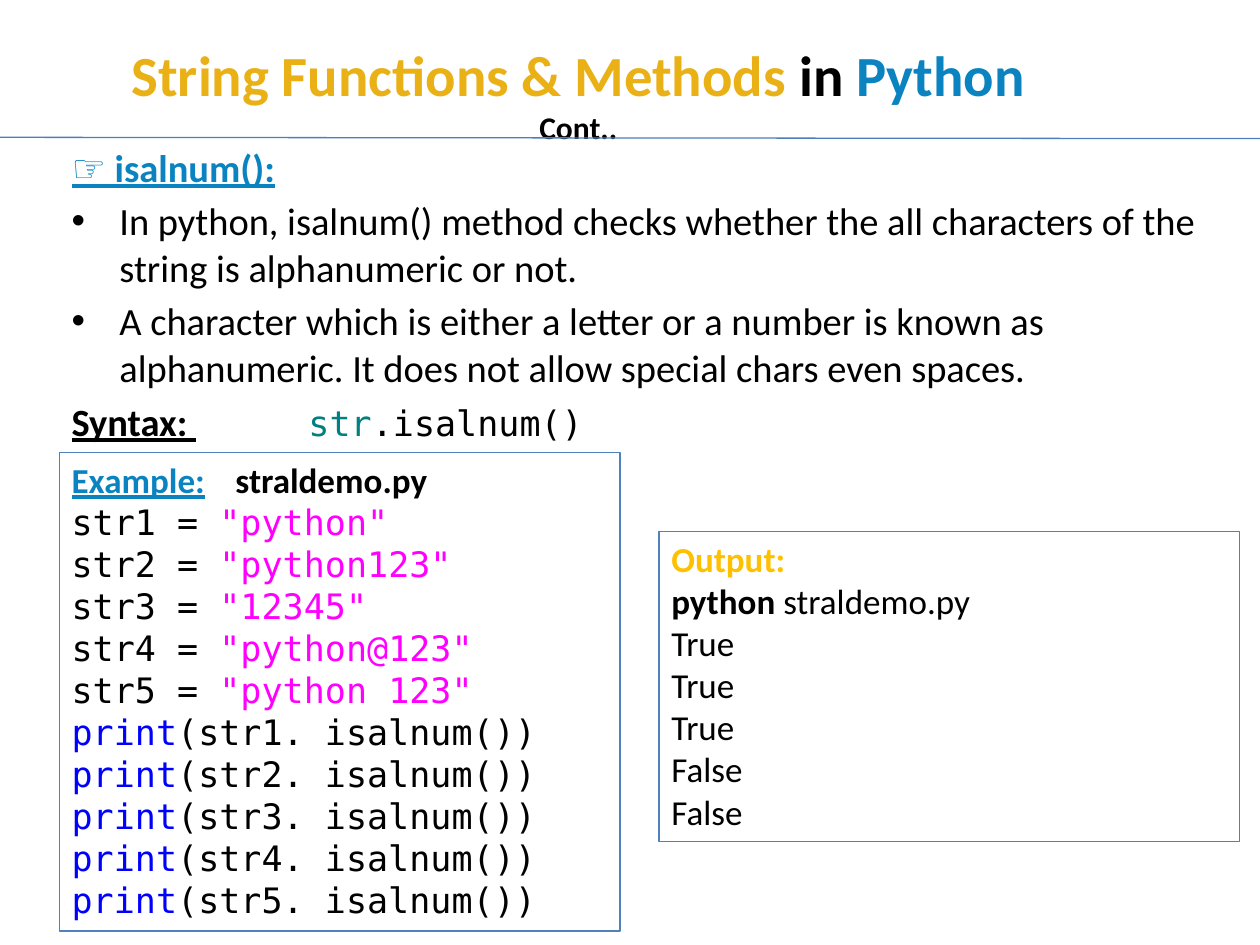
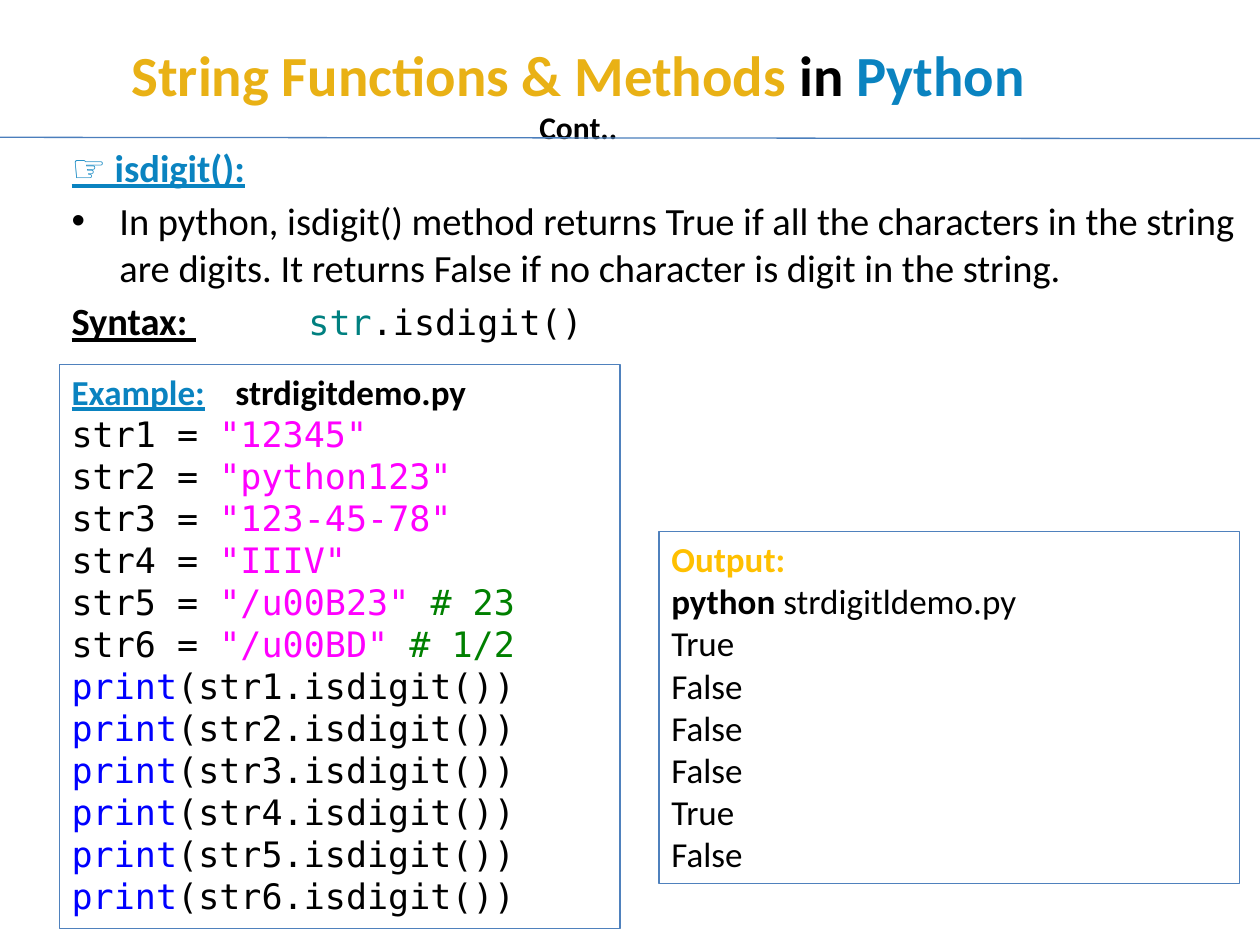
from lxml import etree
from pptx import Presentation
from pptx.dml.color import RGBColor
from pptx.enum.shapes import MSO_CONNECTOR, MSO_SHAPE
from pptx.enum.text import MSO_ANCHOR, PP_ALIGN
from pptx.oxml.ns import qn
from pptx.util import Inches, Pt

RECTANGLE = MSO_SHAPE.RECTANGLE
STRAIGHT = MSO_CONNECTOR.STRAIGHT
TOP, MIDDLE = MSO_ANCHOR.TOP, MSO_ANCHOR.MIDDLE
LEFT, CENTER = PP_ALIGN.LEFT, PP_ALIGN.CENTER

BLACK = RGBColor(0x00, 0x00, 0x00)
GOLD = RGBColor(0xE9, 0xB1, 0x15)
BLUE = RGBColor(0x0A, 0x83, 0xC0)
AMBER = RGBColor(0xFF, 0xC0, 0x00)
TEAL = RGBColor(0x00, 0x80, 0x80)
MAGENTA = RGBColor(0xFF, 0x00, 0xFF)
KEYWORD = RGBColor(0x00, 0x00, 0xFF)
COMMENT = RGBColor(0x00, 0x80, 0x00)
BORDER = RGBColor(0x4F, 0x81, 0xBD)
RULE = RGBColor(0x4B, 0x7E, 0xBC)

SANS, MONO = "Calibri", "DejaVu Sans Mono"
TITLE_SIZE, SUBTITLE_SIZE, BODY_SIZE, CODE_SIZE = 32.4, 18, 22, 20

# Boxes: left, top, width, height in inches
TITLE_BOX = (0.5, 0.3, 9, 0.87)
BODY_BOX = (0.47, 1.09, 9.53, 6.02)


def inches(box):
    return [Inches(length) for length in box]


def add_run(paragraph, text, size, color=BLACK, font=SANS, bold=False, underline=False):
    run = paragraph.add_run()
    run.text = text
    run.font.name = font
    run.font.size = Pt(size)
    run.font.color.rgb = color
    run.font.bold = bold
    run.font.underline = underline


def next_paragraph(frame):
    """Return the unused first paragraph, or a new one."""
    first = frame.paragraphs[0]
    paragraph = frame.add_paragraph() if first.runs else first
    paragraph.alignment = LEFT
    return paragraph


def add_text_box(slide, box, anchor=TOP):
    frame = slide.shapes.add_textbox(*inches(box)).text_frame
    frame.word_wrap = True
    frame.vertical_anchor = anchor
    return frame


def add_panel(slide, box):
    panel = slide.shapes.add_shape(RECTANGLE, *inches(box))
    panel.shadow.inherit = False
    panel.fill.background()
    panel.line.color.rgb = BORDER
    panel.line.width = Pt(0.75)
    frame = panel.text_frame
    frame.word_wrap = True
    frame.vertical_anchor = TOP
    return frame


def add_header(slide, box):
    frame = add_text_box(slide, box, MIDDLE)
    # Main title, set a little left of centre
    title = next_paragraph(frame)
    title.alignment = CENTER
    title._p.get_or_add_pPr().set("marR", str(Inches(0.82)))
    for text, color in (("String Functions & Methods ", GOLD), ("in ", BLACK), ("Python", BLUE)):
        add_run(title, text, TITLE_SIZE, color, bold=True)
    subtitle = next_paragraph(frame)
    subtitle.alignment = CENTER
    add_run(subtitle, "Cont..", SUBTITLE_SIZE, bold=True)


def add_rule(slide):
    rule = slide.shapes.add_connector(STRAIGHT, *inches((0, 1.09, 10, 1.1)))
    rule.line.color.rgb = RULE
    rule.line.width = Pt(0.75)
    etree.SubElement(rule._element.spPr, qn("a:effectLst"))


def body_paragraph(frame, bullet=False):
    paragraph = next_paragraph(frame)
    paragraph.space_before = Pt(BODY_SIZE * 0.2)
    properties = paragraph._p.get_or_add_pPr()
    properties.set("marL", str(Inches(0.38)))
    properties.set("indent", str(-Inches(0.38)))
    if bullet:
        etree.SubElement(properties, qn("a:buFont"), typeface="Arial")
        etree.SubElement(properties, qn("a:buChar"), char="•")
    else:
        etree.SubElement(properties, qn("a:buNone"))
    return paragraph


def add_description(slide, box, method, points):
    frame = add_text_box(slide, box)
    add_run(body_paragraph(frame), f"☞ {method}():", BODY_SIZE, BLUE, bold=True, underline=True)
    for point in points:
        add_run(body_paragraph(frame, bullet=True), point, BODY_SIZE)
    # Syntax line
    syntax = body_paragraph(frame)
    add_run(syntax, "Syntax: ", BODY_SIZE, bold=True, underline=True)
    add_run(syntax, "\t\tstr", CODE_SIZE, TEAL, MONO)
    add_run(syntax, f".{method}()", CODE_SIZE, font=MONO)


def add_code_line(frame, *parts):
    line = next_paragraph(frame)
    line.line_spacing = Pt(24)
    for text, color in parts:
        add_run(line, text, CODE_SIZE, color, MONO)


def add_example(slide, box, file_name, values, call):
    frame = add_panel(slide, box)
    # Heading, with the file name at a tab stop
    heading = next_paragraph(frame)
    stops = etree.SubElement(heading._p.get_or_add_pPr(), qn("a:tabLst"))
    etree.SubElement(stops, qn("a:tab"), pos=str(Inches(1.3)), algn="l")
    add_run(heading, "Example:", CODE_SIZE, BLUE, bold=True, underline=True)
    add_run(heading, f"\t{file_name}", CODE_SIZE, bold=True)
    # Assignments, then one print call for each
    for number, (value, *comments) in enumerate(values, 1):
        add_code_line(frame, (f"str{number} = ", BLACK), (f'"{value}"', MAGENTA),
                      *((f" {comment}", COMMENT) for comment in comments))
    for number in range(1, len(values) + 1):
        add_code_line(frame, ("print", KEYWORD), (f"(str{number}{call})", BLACK))


def add_output(slide, box, file_name, results):
    frame = add_panel(slide, box)
    add_run(next_paragraph(frame), "Output:", CODE_SIZE, AMBER, bold=True)
    command = next_paragraph(frame)
    add_run(command, "python", CODE_SIZE, bold=True)
    add_run(command, f" {file_name}", CODE_SIZE)
    for result in results:
        add_run(next_paragraph(frame), result, CODE_SIZE)


def add_method_slide(deck, method, points, example, output):
    slide = deck.slides.add_slide(deck.slide_layouts[6])
    add_header(slide, TITLE_BOX)
    add_description(slide, BODY_BOX, method, points)
    add_rule(slide)
    add_example(slide, *example)
    add_output(slide, *output)


deck = Presentation()
deck.slide_width, deck.slide_height = Inches(10), Inches(7.5)

add_method_slide(
    deck, "isalnum",
    ["In python, isalnum() method checks whether the all characters of the string is "
     "alphanumeric or not.",
     "A character which is either a letter or a number is known as alphanumeric. "
     "It does not allow special chars even spaces."],
    example=((0.47, 3.59, 4.45, 3.8), "straldemo.py",
             [("python",), ("python123",), ("12345",), ("python@123",), ("python 123",)],
             ". isalnum()"),
    output=((5.23, 4.22, 4.61, 2.46), "straldemo.py",
            ["True", "True", "True", "False", "False"]))

add_method_slide(
    deck, "isdigit",
    ["In python, isdigit() method returns True if all the characters in the string are "
     "digits. It returns False if no character is digit in the string."],
    example=((0.47, 2.89, 4.45, 4.48), "strdigitdemo.py",
             [("12345",), ("python123",), ("123-45-78",), ("IIIV",),
              ("/u00B23", "# 23"), ("/u00BD", "# 1/2")],
             ".isdigit()"),
    output=((5.23, 4.22, 4.61, 2.79), "strdigitldemo.py",
            ["True", "False", "False", "False", "True", "False"]))

deck.save("out.pptx")
